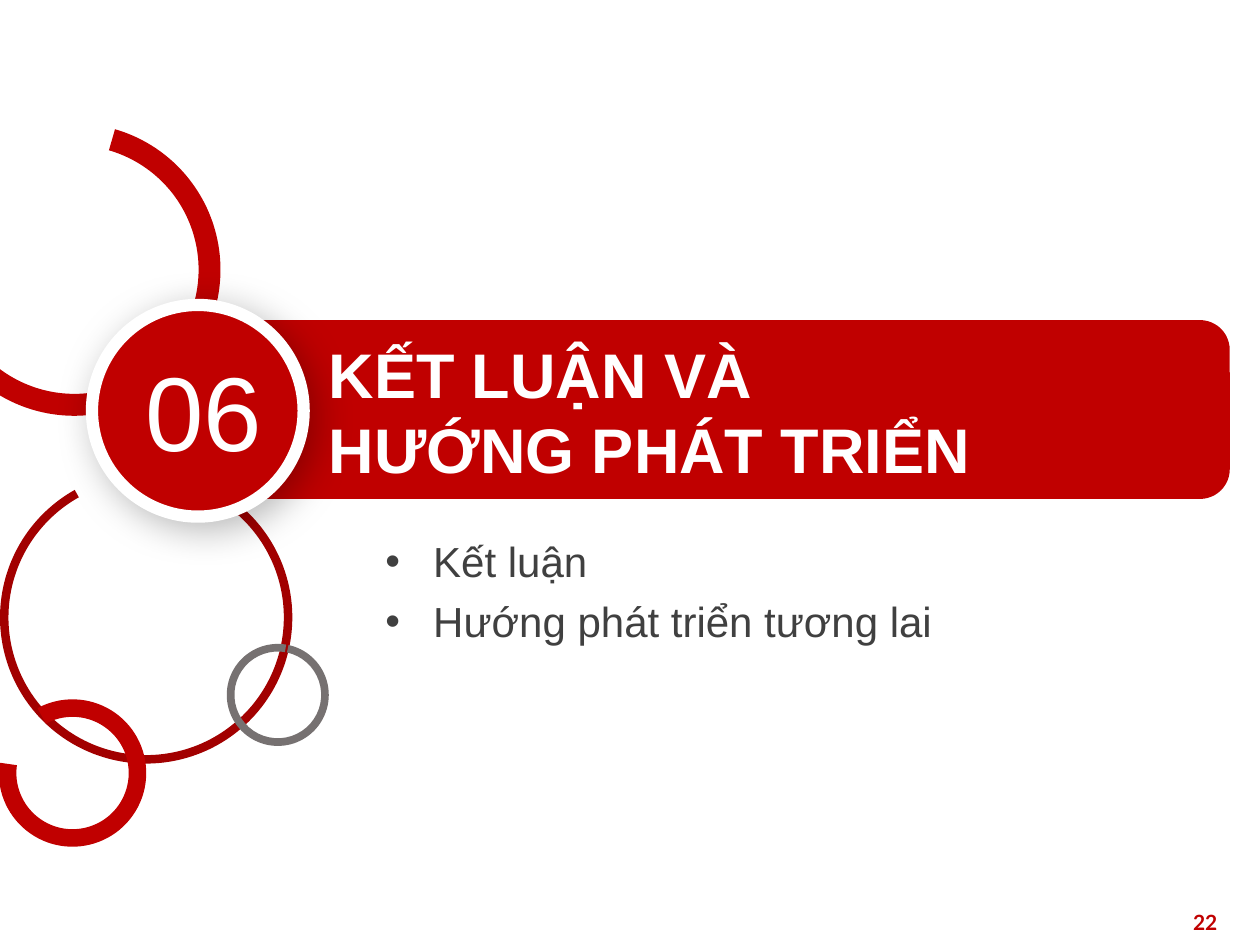
from dataclasses import dataclass

from lxml import etree
from pptx import Presentation
from pptx import util as u
from pptx.dml.color import RGBColor
from pptx.enum import shapes, text
from pptx.oxml import ns

RED = "C00000"
WHITE = "FFFFFF"
DARK = "404040"
KIND = shapes.MSO_SHAPE


@dataclass
class Arc:
    left: float
    top: float
    size: float
    turn: float   # rotation in degrees
    start: float  # first angle in degrees
    end: float    # last angle in degrees
    thick: float  # percent of the size
    fill: str


ARCS = [
    Arc(-0.57, 0.98, 2.32, 142, 144.15, 357.97, 7.5, RED),
    Arc(0, 3.74, 2.32, 219.9, 43.41, 20.83, 2.9, "A20000"),
    Arc(1.8, 5.11, 0.81, 281.5, 0.64, 357.97, 7.5, "767171"),
    Arc(-0.01, 5.55, 1.17, 128.9, 112.75, 59.13, 11.9, RED),
]


def paint(target, color: str) -> None:
    target.rgb = RGBColor.from_string(color)


def add_form(slide, kind, left: float, top: float, width: float, height: float, fill: str):
    form = slide.shapes.add_shape(
        kind, u.Inches(left), u.Inches(top), u.Inches(width), u.Inches(height))
    form.shadow.inherit = False
    form.fill.solid()
    paint(form.fill.fore_color, fill)
    form.line.fill.background()
    return form


def add_arc(slide, arc: Arc) -> None:
    form = add_form(slide, KIND.BLOCK_ARC, arc.left, arc.top, arc.size, arc.size, arc.fill)
    form.rotation = arc.turn
    # Angles are stored in 60000ths of a degree, scaled by 100000
    form.adjustments[0] = arc.start * 0.6
    form.adjustments[1] = arc.end * 0.6
    form.adjustments[2] = arc.thick / 100


def add_shade(form, blur: float, dist: float, angle: int, alpha: int) -> None:
    effects = form._element.spPr.find(ns.qn("a:effectLst"))
    shade = etree.SubElement(
        effects, ns.qn("a:outerShdw"), blurRad=str(u.Pt(blur)), dist=str(u.Pt(dist)),
        dir=str(angle * 60000), algn="tl", rotWithShape="0")
    color = etree.SubElement(shade, ns.qn("a:srgbClr"), val="000000")
    etree.SubElement(color, ns.qn("a:alpha"), val=str(alpha * 1000))


def add_bullet(para, indent: float) -> None:
    props = para._p.get_or_add_pPr()
    props.set("marL", str(u.Inches(indent)))
    props.set("indent", str(-u.Inches(indent)))
    etree.SubElement(props, ns.qn("a:buFont"), typeface="Arial")
    etree.SubElement(props, ns.qn("a:buChar"), char="•")


def add_text(slide, words: str, left: float, top: float, width: float, height: float, *,
             size: int, color: str, font: str = "Arial", bold: bool = False,
             align=text.PP_ALIGN.LEFT, space: float = 1.0, indent: float = 0) -> None:
    box = slide.shapes.add_textbox(
        u.Inches(left), u.Inches(top), u.Inches(width), u.Inches(height))
    frame = box.text_frame
    frame.word_wrap = True
    frame.text = words
    for para in frame.paragraphs:
        para.alignment = align
        para.line_spacing = space
        if indent:
            add_bullet(para, indent)
        style = para.runs[0].font
        style.name, style.size, style.bold = font, u.Pt(size), bold
        paint(style.color, color)


def main() -> None:
    deck = Presentation()
    deck.slide_width, deck.slide_height = u.Inches(10), u.Inches(7.5)
    slide = deck.slides.add_slide(deck.slide_layouts[6])

    # Title bar and page number
    add_form(slide, KIND.ROUNDED_RECTANGLE, 1.87, 2.54, 7.89, 1.42, RED)
    add_text(slide, "22", 7.51, 7.17, 2.25, 0.4, size=12, color=RED, font="Lato",
             bold=True, align=text.PP_ALIGN.RIGHT)

    # Rings
    for arc in ARCS:
        add_arc(slide, arc)

    # Topics
    add_text(slide, "Kết luận\nHướng phát triển tương lai", 2.96, 4.12, 6.88, 1.53,
             size=24, color=DARK, space=1.2, indent=0.38)

    # Section number
    badge = add_form(slide, KIND.OVAL, 0.73, 2.42, 1.68, 1.68, RED)
    paint(badge.line.color, WHITE)
    badge.line.width = u.Pt(7)
    add_shade(badge, blur=22, dist=6, angle=45, alpha=28)
    add_text(slide, "06", 0.98, 2.7, 1.27, 1.12, size=60, color=WHITE,
             align=text.PP_ALIGN.CENTER)

    # Section title
    add_text(slide, "KẾT LUẬN VÀ\nHƯỚNG PHÁT TRIỂN", 2.51, 2.61, 7.25, 1.31,
             size=36, color=WHITE, bold=True)

    deck.save("out.pptx")


if __name__ == "__main__":
    main()
